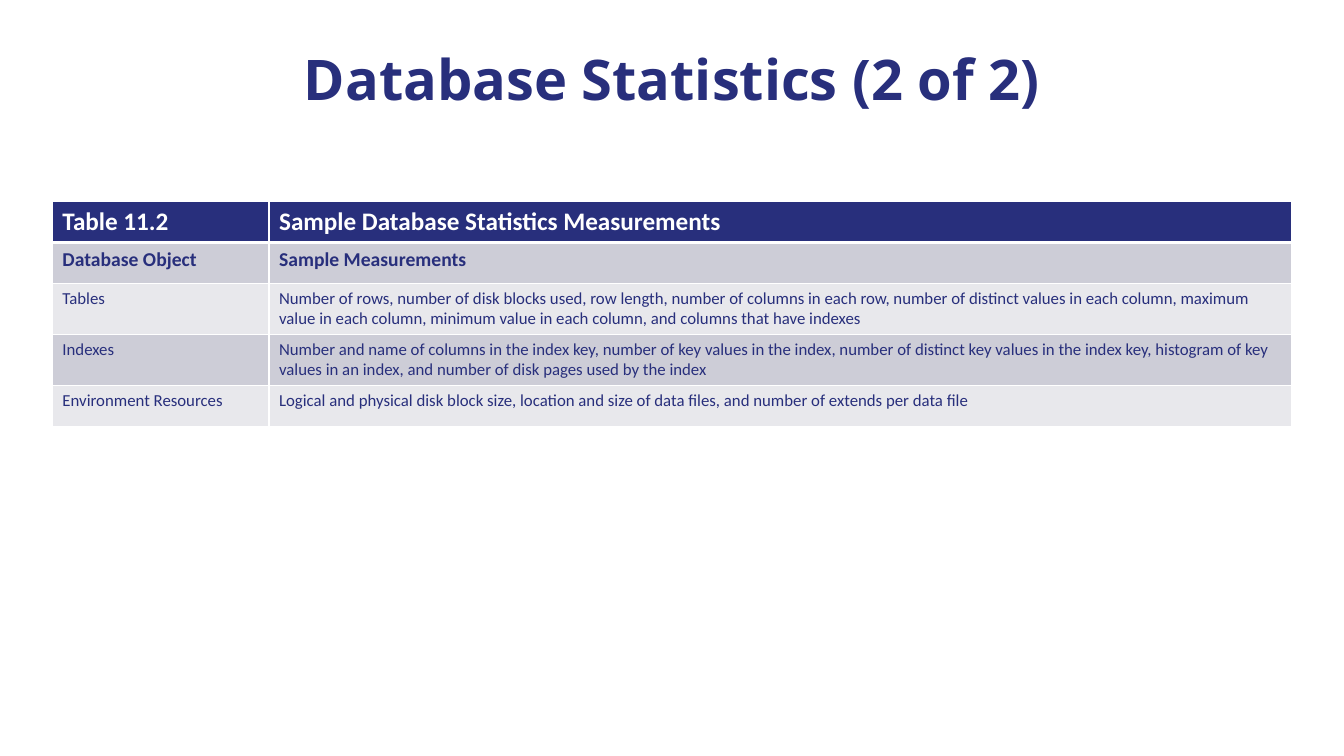
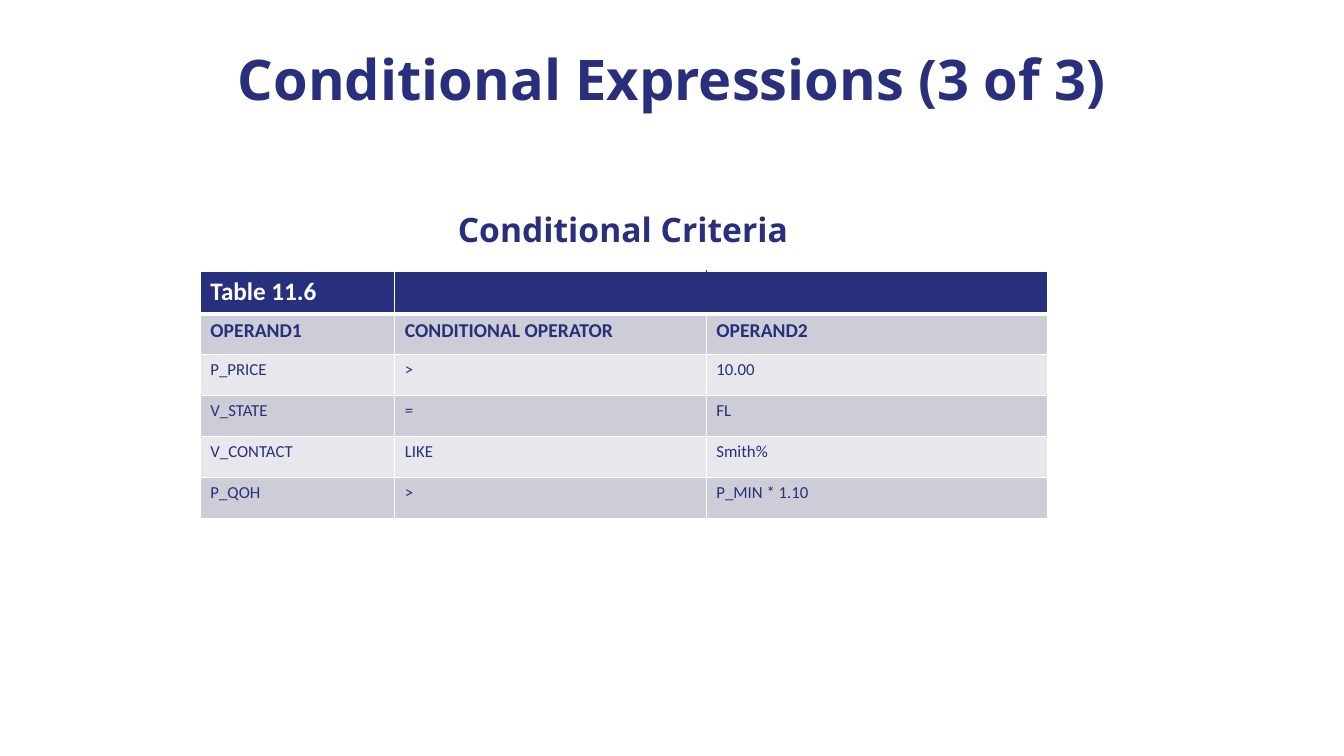
from lxml import etree
from pptx import Presentation
from pptx.dml.color import RGBColor
from pptx.enum import text as t
from pptx.oxml import ns
from pptx.util import Cm, Pt

NAVY = RGBColor(0x28, 0x2F, 0x7C)
WHITE = RGBColor(0xFF, 0xFF, 0xFF)
DARK = RGBColor(0xCD, 0xCD, 0xD7)
LIGHT = RGBColor(0xE8, 0xE8, 0xEC)
HEAD, BODY = "Noto Sans", "Calibri"
ROW = 1.03

STATS = [
    ["Table 11.2", "Sample Database Statistics Measurements"],
    ["Database Object", "Sample Measurements"],
    ["Tables", "Number of rows, number of disk blocks used, row length, "
     "number of columns in each row, number of distinct values in each column, "
     "maximum value in each column, minimum value in each column, "
     "and columns that have indexes"],
    ["Indexes", "Number and name of columns in the index key, "
     "number of key values in the index, number of distinct key values in the "
     "index key, histogram of key values in an index, "
     "and number of disk pages used by the index"],
    ["Environment Resources", "Logical and physical disk block size, location "
     "and size of data files, and number of extends per data file"],
]
TERMS = [
    ["Table 11.6", "", ""],
    ["OPERAND1", "CONDITIONAL OPERATOR", "OPERAND2"],
    ["P_PRICE", ">", "10.00"],
    ["V_STATE", "=", "FL"],
    ["V_CONTACT", "LIKE", "Smith%"],
    ["P_QOH", ">", "P_MIN * 1.10"],
]


def write(frame, words, size, font=BODY, color=NAVY, bold=True,
          align=t.PP_ALIGN.LEFT, space=None):
    para = frame.paragraphs[0]
    para.alignment = align
    para.line_spacing = space
    run = para.add_run()
    run.text = words
    run.font.size = Pt(size)
    run.font.name = font
    run.font.bold = bold
    run.font.color.rgb = color


def add_slide(prs, title):
    slide = prs.slides.add_slide(prs.slide_layouts[5])
    shape = slide.shapes.title
    shape.left, shape.top = Cm(1.32), Cm(1.32)
    shape.width, shape.height = Cm(31.22), Cm(3.38)
    frame = shape.text_frame
    frame.auto_size = t.MSO_AUTO_SIZE.NONE
    frame.vertical_anchor = t.MSO_ANCHOR.TOP
    frame.margin_top = frame.margin_bottom = 0
    write(frame, title, 40, font=HEAD, align=t.PP_ALIGN.CENTER, space=0.9)
    return slide


def add_edge(cell, side, color, width):
    """Draw one border; call before filling the cell, sides in order L R T B."""
    line = etree.SubElement(cell._tc.get_or_add_tcPr(), ns.qn("a:ln" + side),
                            w=str(Pt(width)))
    fill = etree.SubElement(line, ns.qn("a:solidFill"))
    etree.SubElement(fill, ns.qn("a:srgbClr"), val=str(color))


def style_cell(cell, words, row, left, right):
    add_edge(cell, "L", left, 1)
    add_edge(cell, "R", right, 1)
    add_edge(cell, "T", WHITE, 3 if row == 1 else 1)
    add_edge(cell, "B", WHITE, 3 if row == 0 else 1)
    cell.fill.solid()
    cell.fill.fore_color.rgb = NAVY if row == 0 else DARK if row % 2 else LIGHT
    if words:
        write(cell.text_frame, words, {0: 18, 1: 14}.get(row, 12),
              color=WHITE if row == 0 else NAVY, bold=row < 2)


def add_grid(slide, rows, left, top, widths, head=ROW):
    """Add a table; neighbouring empty cells show no line between them."""
    high = head + ROW * (len(rows) - 1)
    grid = slide.shapes.add_table(len(rows), len(widths), Cm(left), Cm(top),
                                  Cm(sum(widths)), Cm(high)).table
    for col, width in zip(grid.columns, widths):
        col.width = Cm(width)
    for r, row in enumerate(rows):
        grid.rows[r].height = Cm(ROW if r else head)
        edges = [WHITE]
        edges += [WHITE if a or b else NAVY for a, b in zip(row, row[1:])]
        edges.append(WHITE)
        for c, words in enumerate(row):
            style_cell(grid.cell(r, c), words, r, edges[c], edges[c + 1])


def add_label(slide, words, left, top, width, height):
    frame = slide.shapes.add_textbox(Cm(left), Cm(top), Cm(width),
                                     Cm(height)).text_frame
    frame.word_wrap = True
    write(frame, words, 24, font=HEAD, align=t.PP_ALIGN.CENTER)


def main():
    prs = Presentation()
    prs.slide_width, prs.slide_height = Cm(33.87), Cm(19.05)

    slide = add_slide(prs, "Database Statistics (2 of 2)")
    add_grid(slide, STATS, 1.32, 5.08, [5.46, 25.78])

    slide = add_slide(prs, "Conditional Expressions (3 of 3)")
    add_grid(slide, TERMS, 5.05, 6.83, [4.9, 7.85, 8.59], head=1.08)
    add_label(slide, "Conditional Criteria", 5.99, 5.13, 19.41, 1.27)

    prs.save("out.pptx")


if __name__ == "__main__":
    main()
